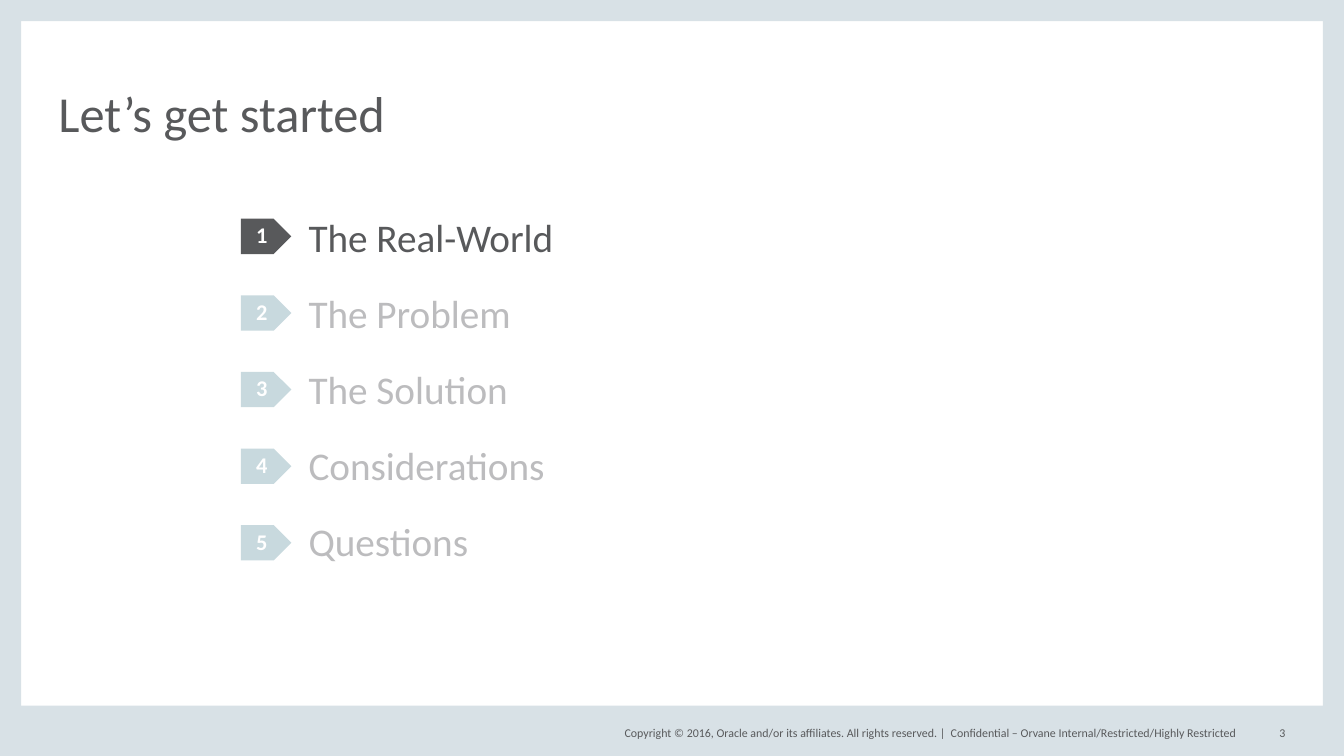
from pptx import Presentation
from pptx import util as u
from pptx.dml.color import RGBColor
from pptx.enum import shapes, text

HUES = {"frame": "D8E1E6", "ink": "58595B", "faint": "BCBCBE",
        "tag": "C8D9DE", "white": "FFFFFF"}
TOPICS = ["The Real-World", "The Problem", "The Solution", "Considerations", "Questions"]
LEFT, MID, RIGHT = text.PP_ALIGN.LEFT, text.PP_ALIGN.CENTER, text.PP_ALIGN.RIGHT
TOP, CENTER, BOTTOM = (text.MSO_ANCHOR.TOP, text.MSO_ANCHOR.MIDDLE,
                       text.MSO_ANCHOR.BOTTOM)


def color(name):
    """Return the named colour."""
    return RGBColor.from_string(HUES[name])


def write(shape, lines, size, hues=("ink",), align=LEFT, anchor=TOP,
          bold=False, lead=1.0, gap=0, wrap=True, inset=0):
    """Write one paragraph per line into a shape."""
    frame = shape.text_frame
    frame.word_wrap = wrap
    frame.vertical_anchor = anchor
    frame.margin_left = frame.margin_right = u.Inches(inset)
    frame.margin_top = frame.margin_bottom = u.Inches(inset / 2)
    for i, line in enumerate(lines):
        par = frame.add_paragraph() if i else frame.paragraphs[0]
        par.alignment = align
        par.line_spacing = lead
        par.space_before = u.Pt(gap if i else 0)
        run = par.add_run()
        run.text = line
        font = run.font
        font.name, font.size, font.bold = "Calibri", u.Pt(size), bold
        font.color.rgb = color(hues[min(i, len(hues) - 1)])


def label(slide, box, lines, size, **style):
    """Add a text box with formatted lines."""
    shape = slide.shapes.add_textbox(*map(u.Inches, box))
    write(shape, lines, size, **style)


def block(slide, kind, box, hue):
    """Add a flat shape without an outline."""
    shape = slide.shapes.add_shape(kind, *map(u.Inches, box))
    shape.shadow.inherit = False
    shape.fill.solid()
    shape.fill.fore_color.rgb = color(hue)
    shape.line.fill.background()
    return shape


def border(slide, box, edge=0.21, base=0.5):
    """Draw the four bars that frame the page."""
    x, y, w, h = box
    bars = [(x, y, edge, h), (x + w - edge, y, edge, h),
            (x, y + h - base, w, base), (x, y, w, edge)]
    for bar in bars:
        block(slide, shapes.MSO_SHAPE.RECTANGLE, bar, "frame")


def agenda(slide, box, pitch=0.76):
    """List the topics beside numbered tags, with the first one active."""
    x, y, w, h = box
    indent = 0.67
    label(slide, (x + indent, y, w - indent, h), TOPICS, 28,
          hues=("ink", "faint"), lead=0.9, gap=24)
    for i in range(len(TOPICS)):
        tag = block(slide, shapes.MSO_SHAPE.PENTAGON,
                    (x, y + i * pitch, 0.5, 0.35), "tag" if i else "ink")
        write(tag, [str(i + 1)], 16, hues=("white",), align=MID,
              anchor=CENTER, bold=True, lead=0.9, inset=0.1)


def footer(slide, box):
    """Place the copyright line, notice and page number."""
    x, y, w, h = box
    parts = [
        (0, 3.5, "Copyright © 2016, Oracle and/or its affiliates. All rights reserved. |", RIGHT),
        (3.55, 3, "Confidential – Orvane Internal/Restricted/Highly Restricted", LEFT),
        (w - 0.42, 0.42, "3", RIGHT),
    ]
    for left, width, line, align in parts:
        label(slide, (x + left, y, width, h), [line], 8.5,
              align=align, anchor=CENTER, wrap=False)


def main():
    """Build and save the agenda slide."""
    deck = Presentation()
    deck.slide_width, deck.slide_height = u.Inches(13.33), u.Inches(7.5)
    slide = deck.slides.add_slide(deck.slide_layouts[6])
    border(slide, (0, 0, 13.33, 7.5))
    label(slide, (0.58, 0.44, 12.17, 0.97), ["Let’s get started"], 36,
          anchor=BOTTOM, lead=0.8)
    agenda(slide, (2.39, 2.17, 10.36, 4.33))
    footer(slide, (5.88, 7.17, 6.87, 0.2))
    deck.save("out.pptx")


if __name__ == "__main__":
    main()
